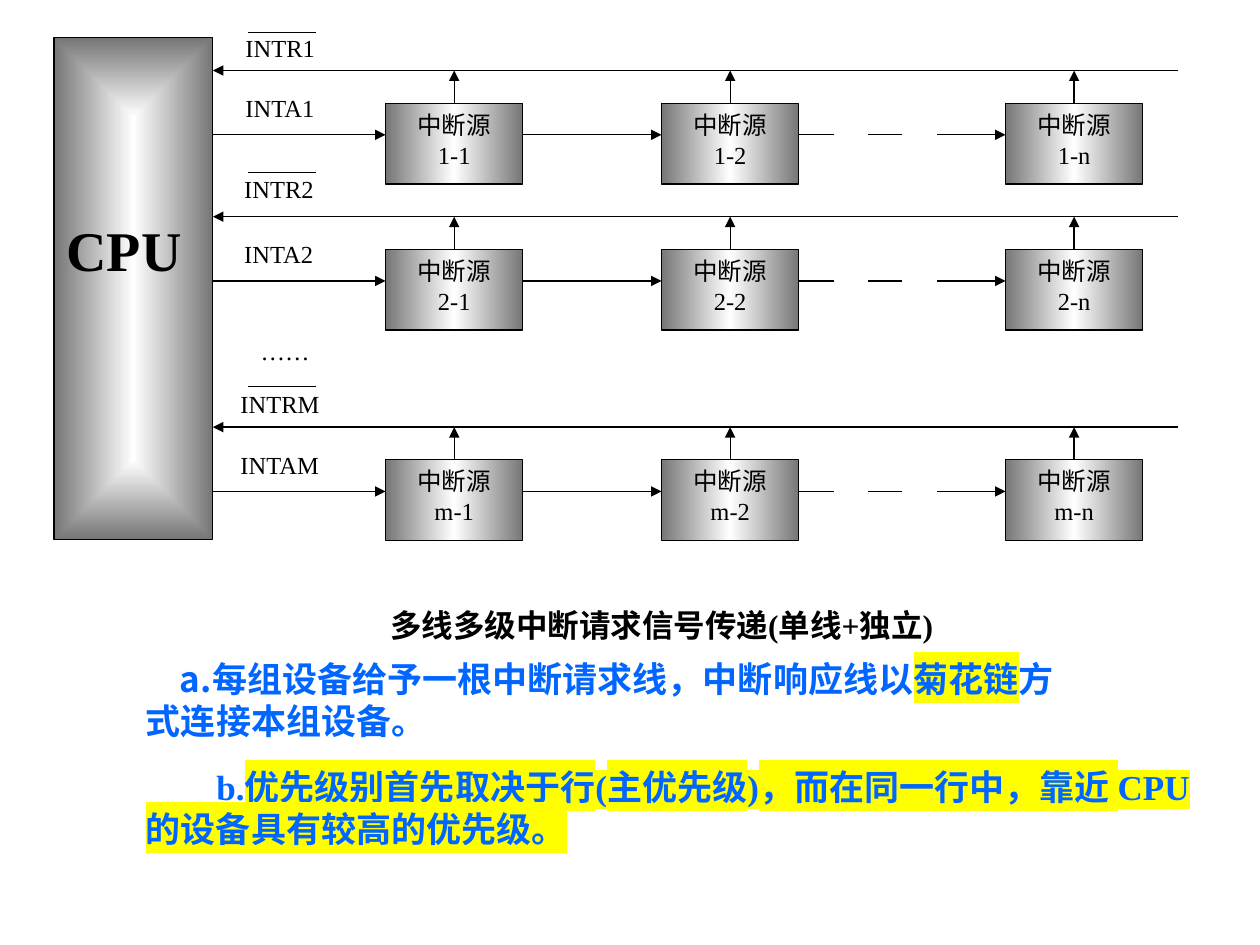
import pptx
import pptx.dml.color
import pptx.enum.shapes
import pptx.enum.text
import pptx.oxml
import pptx.oxml.ns
import pptx.util

Inches = pptx.util.Inches
Pt = pptx.util.Pt
qn = pptx.oxml.ns.qn
ALIGN = pptx.enum.text.PP_ALIGN
NS = 'xmlns:a="http://schemas.openxmlformats.org/drawingml/2006/main"'

ALONG = '<a:lin ang="0" scaled="1"/>'
FROM_CENTRE = '<a:path path="shape"><a:fillToRect l="50000" t="50000" r="50000" b="50000"/></a:path>'


def color(value):
    return pptx.dml.color.RGBColor.from_string(value)


def element(xml):
    return pptx.oxml.parse_xml(xml.replace(" ", f" {NS} ", 1))


def apply(obj, values):
    for name, value in values.items():
        setattr(obj, name, value)


class Diagram:
    ink = "000000"
    grey = "767676"
    font = "Times New Roman"

    def __init__(self, slide):
        self.s = slide

    def add_runs(self, p, runs, size, ink=ink, font=font, bold=False, **para):
        apply(p, para)
        for text, mark in runs:
            r = p.add_run()
            r.text = text
            apply(r.font, {"size": Pt(size), "name": font, "bold": bold})
            r.font.color.rgb = color(ink)
            if mark:
                r.font._element.find(qn("a:latin")).addprevious(element(
                    f'<a:highlight ><a:srgbClr val="{mark}"/></a:highlight>'))

    def text(self, at, runs, size, indent=0, **style):
        sp = self.s.shapes.add_textbox(*map(Inches, at))
        tf = sp.text_frame
        tf.word_wrap = True
        p = tf.paragraphs[0]
        self.add_runs(p, runs, size, **style)
        if indent:
            p._p.get_or_add_pPr().set("indent", str(Inches(indent)))

    def box(self, at, lines, size, stops, shade, top=0.05, bold=False, **para):
        sp = self.s.shapes.add_shape(
            pptx.enum.shapes.MSO_SHAPE.RECTANGLE, *map(Inches, at))
        sp.shadow.inherit = False
        marks = "".join(f'<a:gs pos="{pos * 1000}"><a:srgbClr val="{c}"/></a:gs>'
                        for pos, c in stops)
        sp._element.spPr.find(qn("a:prstGeom")).addnext(element(
            f'<a:gradFill rotWithShape="1"><a:gsLst>{marks}</a:gsLst>{shade}</a:gradFill>'))
        sp.line.color.rgb = color(self.ink)
        sp.line.width = Pt(0.75)
        tf = sp.text_frame
        apply(tf, {"word_wrap": True, "margin_top": Inches(top),
                   "vertical_anchor": pptx.enum.text.MSO_ANCHOR.TOP})
        for i, line in enumerate(lines):
            p = tf.add_paragraph() if i else tf.paragraphs[0]
            self.add_runs(p, [(line, None)], size, bold=bold, **para)

    def line(self, x1, y1, x2, y2, arrow=False):
        sp = self.s.shapes.add_connector(
            pptx.enum.shapes.MSO_CONNECTOR.STRAIGHT,
            *map(Inches, (x1, y1, x2, y2)))
        sp.line.color.rgb = color(self.ink)
        sp.line.width = Pt(0.75)
        if arrow:
            sp.line._get_or_add_ln().append(element('<a:tailEnd type="triangle"/>'))
        sp._element.spPr.append(element("<a:effectLst />"))


def main():
    prs = pptx.Presentation()
    prs.slide_width, prs.slide_height = Inches(10), Inches(7.5)
    d = Diagram(prs.slides.add_slide(prs.slide_layouts[6]))

    cpu_right, bus_end = 1.69, 9.35
    box_w, box_h = 1.09, 0.64
    columns = [(3.06, "1"), (5.25, "2"), (7.98, "n")]
    rows = [
        (0.56, "1", "1", 1.85, 0.21, 0.26),
        (1.72, "2", "2", 1.84, 1.33, 1.37),
        (3.39, "m", "M", 1.81, 3.04, 3.07),
    ]
    first, second, last = (x for x, _ in columns)
    band = [(0, d.grey), (50, "FFFFFF"), (100, d.grey)]

    d.box((0.43, 0.3, 1.26, 3.98), ["CPU"], 32,
          [(0, "FFFFFF"), (100, d.grey)], FROM_CENTRE,
          top=1.41, bold=True, alignment=ALIGN.LEFT)

    for bus_y, row, suffix, label_x, request_y, bar_y in rows:
        chain_y = bus_y + 0.51
        for x, col in columns:
            d.box((x, bus_y + 0.26, box_w, box_h), ["中断源", f"{row}-{col}"], 14,
                  band, ALONG, alignment=ALIGN.CENTER, line_spacing=Pt(17))
            middle = x + box_w / 2
            d.line(middle, bus_y + 0.26, middle, bus_y, arrow=True)
        d.line(bus_end, bus_y, cpu_right, bus_y, arrow=True)
        d.line(1.97, bar_y, 2.51, bar_y)
        for name, y in (("INTR", request_y), ("INTA", bus_y + 0.13)):
            d.text((label_x, y, 1.2, 0.39), [(name + suffix, None)], 14)
        for start, end, arrow in (
                (cpu_right, first, True), (first + box_w, second, True),
                (second + box_w, 6.62, False), (6.89, 7.16, False),
                (7.44, last, True)):
            d.line(start, chain_y, end, chain_y, arrow)

    d.text((1.97, 2.62, 0.82, 0.39), [("……", None)], 14)
    d.text((2.24, 4.76, 6.02, 0.45), [("多线多级中断请求信号传递(单线+独立)", None)],
           18, bold=True, alignment=ALIGN.CENTER)

    note = {"ink": "0066FF", "bold": True, "line_spacing": Pt(24)}
    d.text((1.06, 5.17, 7.65, 0.77),
           [("a.每组设备给予一根中断请求线，中断响应线以", None),
            ("菊花链", "FFFF00"), ("方式连接本组设备。", None)],
           20, indent=0.27, font="Noto Sans CJK SC", **note)
    d.text((1.06, 6.03, 8.5, 0.77),
           [("b.", None),
            ("优先级别首先取决于行(主优先级)，而在同一行中，靠近 CPU的设备具有较高的优先级。", "FFFF00")],
           20, indent=0.56, **note)

    prs.save("out.pptx")


if __name__ == "__main__":
    main()
